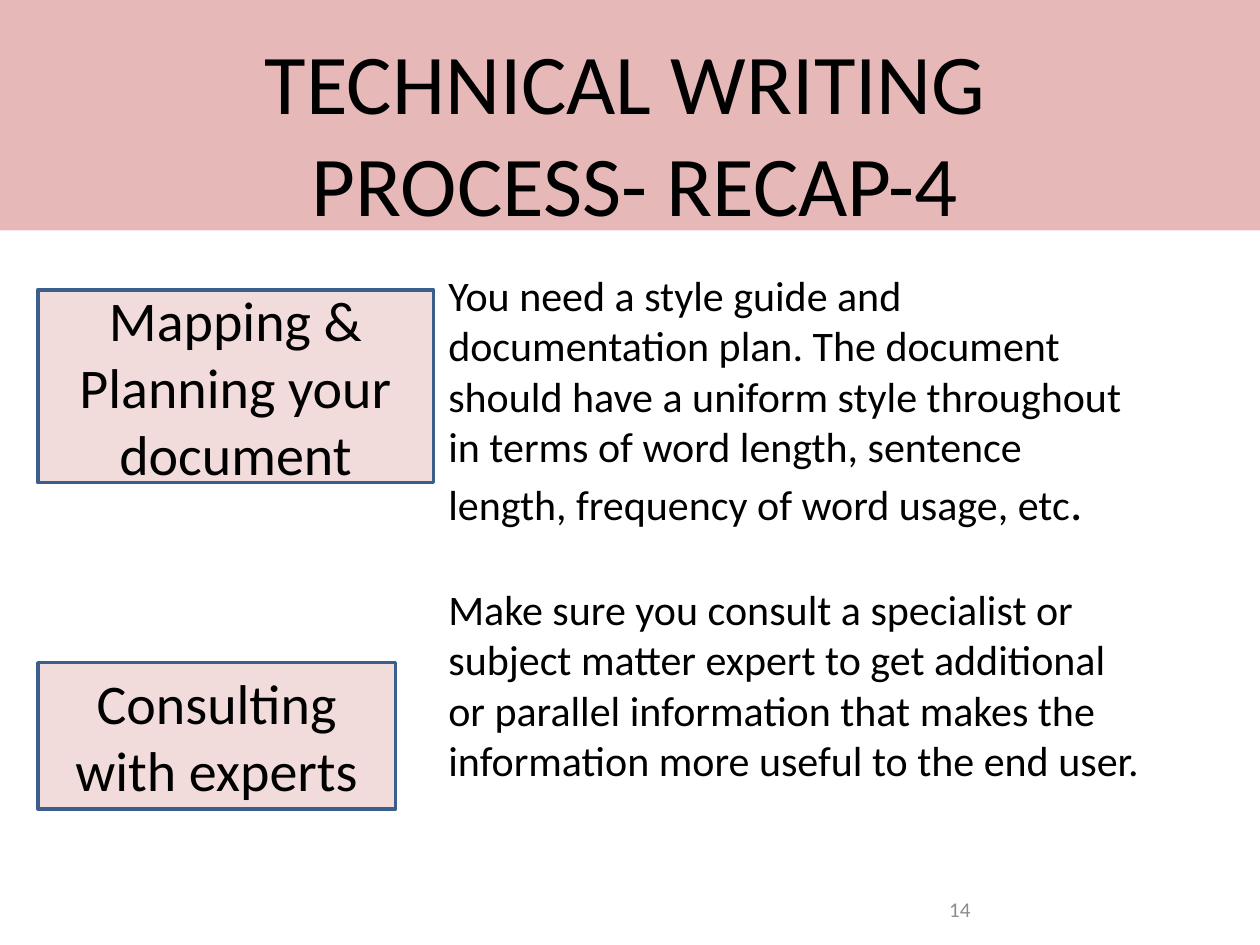
from pptx import Presentation
from pptx.dml.color import RGBColor
from pptx.enum.shapes import MSO_SHAPE
from pptx.enum.text import MSO_ANCHOR, PP_ALIGN
from pptx.util import Inches, Pt

ROSE = RGBColor(0xE6, 0xB9, 0xB8)
BLUSH = RGBColor(0xF2, 0xDC, 0xDB)
BLUE = RGBColor(0x3A, 0x5F, 0x8C)
BLACK = RGBColor(0, 0, 0)
GRAY = RGBColor(0x8C, 0x8C, 0x8C)
FONT = "Calibri"


def add_run(para, text, size, color=BLACK):
    run = para.add_run()
    run.text = text
    run.font.name = FONT
    run.font.size = Pt(size)
    run.font.color.rgb = color


def set_frame(shape, anchor, align):
    frame = shape.text_frame
    frame.word_wrap = True
    frame.vertical_anchor = anchor
    para = frame.paragraphs[0]
    para.alignment = align
    return para


def add_panel(slide, box, fill, line=None):
    panel = slide.shapes.add_shape(MSO_SHAPE.RECTANGLE, *map(Inches, box))
    panel.shadow.inherit = False
    panel.fill.solid()
    panel.fill.fore_color.rgb = fill
    if line is None:
        panel.line.fill.background()
    else:
        panel.line.color.rgb = line
        panel.line.width = Pt(2)
    return set_frame(panel, MSO_ANCHOR.MIDDLE, PP_ALIGN.CENTER)


def add_text(slide, box, anchor=MSO_ANCHOR.TOP, align=PP_ALIGN.LEFT):
    text = slide.shapes.add_textbox(*map(Inches, box))
    return set_frame(text, anchor, align)


def add_header(slide, band, box):
    add_panel(slide, band, ROSE)
    title = add_panel(slide, box, ROSE)
    add_run(title, "TECHNICAL WRITING ", 48.6)
    title.add_line_break()
    add_run(title, "PROCESS- RECAP-4", 48.6)


def add_step(slide, box, name, note_box, runs):
    add_run(add_panel(slide, box, BLUSH, BLUE), name, 32)
    note = add_text(slide, note_box)
    for text, size in runs:
        add_run(note, text, size)


def add_number(slide, box):
    para = add_text(slide, box, MSO_ANCHOR.MIDDLE, PP_ALIGN.RIGHT)
    add_run(para, "14", 12, GRAY)


def main():
    deck = Presentation()
    deck.slide_width, deck.slide_height = Inches(10), Inches(7.5)
    slide = deck.slides.add_slide(deck.slide_layouts[6])

    # Title band
    add_header(slide, (0, 0, 10, 1.83), (0.86, 0.35, 8.36, 1.38))

    # Process steps, each with its explanation
    add_step(slide, (0.3, 2.3, 3.14, 1.53), "Mapping & Planning your document",
             (3.46, 2.09, 5.63, 2.19),
             [("You need a style guide and documentation plan. The document "
               "should have a uniform style throughout in terms of word length, "
               "sentence length, frequency of word usage, etc", 24), (".", 28)])
    add_step(slide, (0.3, 5.26, 2.84, 1.16), "Consulting with experts",
             (3.46, 4.58, 5.75, 2.12),
             [("Make sure you consult a specialist or subject matter expert to "
               "get additional or parallel information that makes the "
               "information more useful to the end user.", 24)])

    # Page number
    add_number(slide, (7.35, 7.06, 0.45, 0.31))

    deck.save("out.pptx")


if __name__ == "__main__":
    main()
